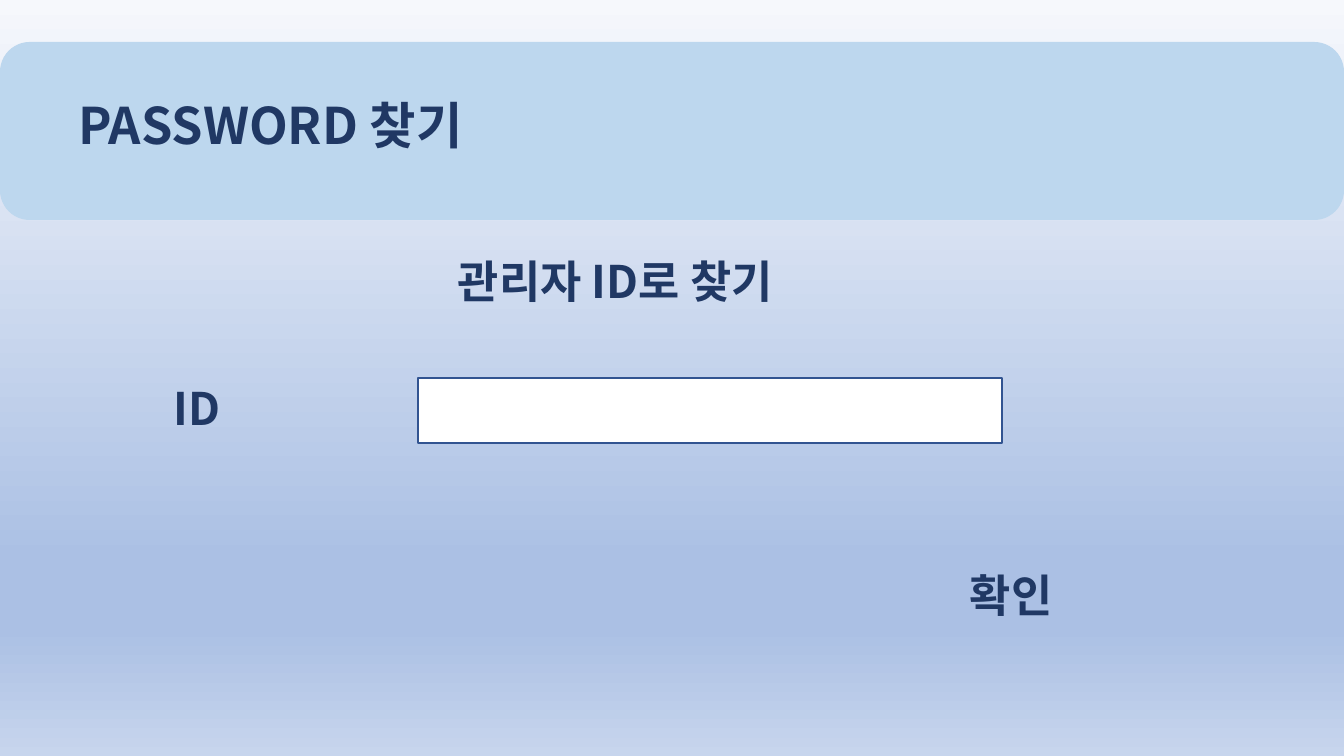
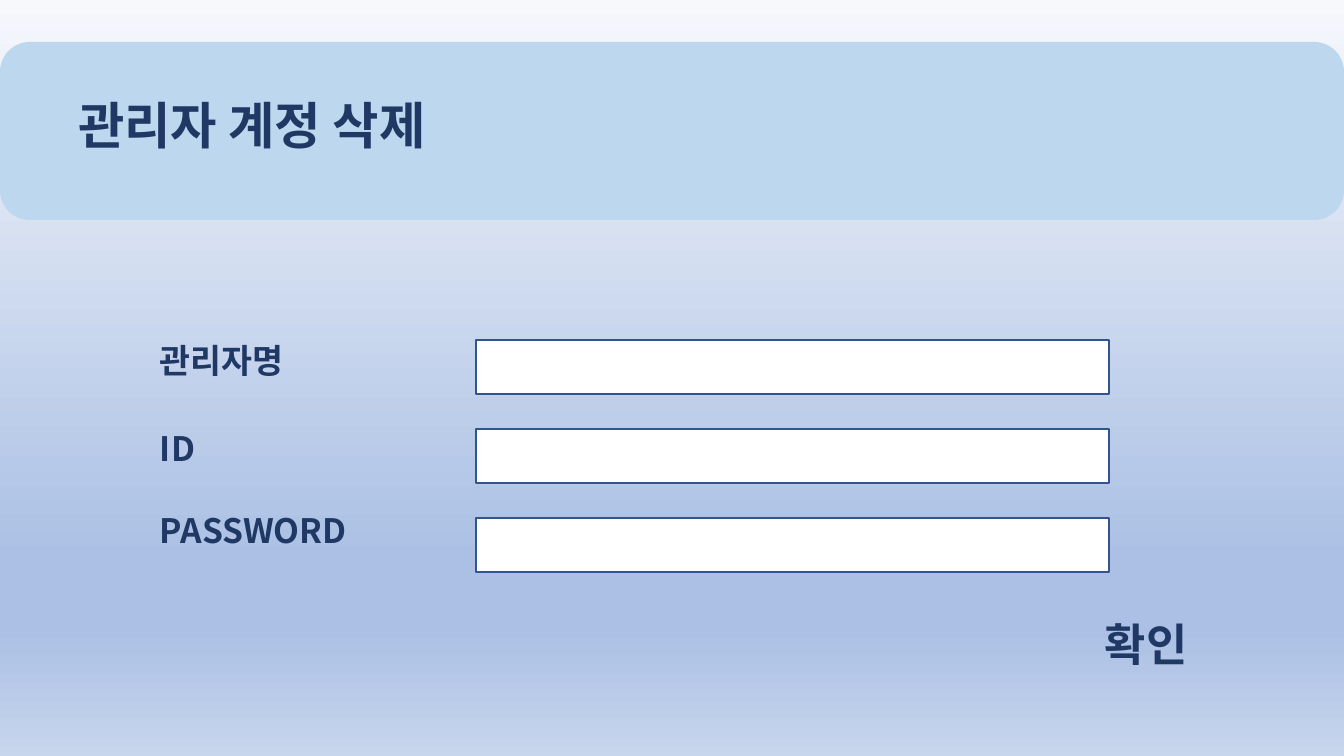
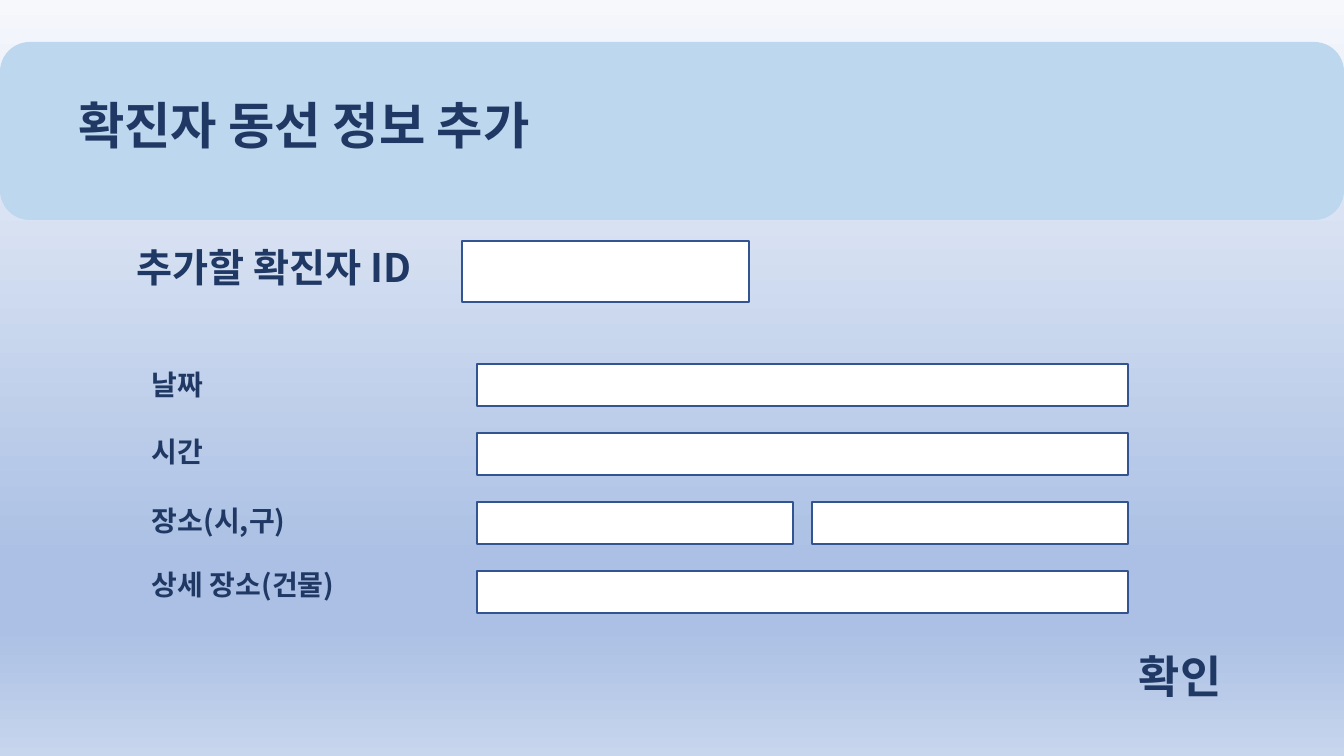
from lxml import etree
from pptx import Presentation
from pptx import util as u
from pptx.dml.color import RGBColor
from pptx.enum import shapes, text
from pptx.oxml.ns import qn

PX = 914400 / 100.8
FONT = "Noto Sans CJK KR"
NAVY, SKY, WHITE, EDGE = "203864", "BDD7EE", "FFFFFF", "325491"
STOPS = [(0, "F6F8FC"), (74, "ABC0E4"), (83, "ABC0E4"), (100, "C7D5ED")]
KIND = shapes.MSO_SHAPE


def write(box, words, size):
    frame = box.text_frame
    frame.word_wrap = True
    frame.auto_size = text.MSO_AUTO_SIZE.NONE
    frame.vertical_anchor = text.MSO_ANCHOR.TOP
    para = frame.paragraphs[0]
    para.alignment = text.PP_ALIGN.LEFT
    para.line_spacing = 0.9
    run = para.add_run()
    run.text = words
    font = run.font
    font.name, font.size, font.bold = FONT, u.Pt(size), True
    font.color.rgb = RGBColor.from_string(NAVY)
    east = etree.SubElement(run._r.get_or_add_rPr(), qn("a:ea"))
    east.set("typeface", FONT)


def block(slide, kind, area, fill, line=None):
    """Add a plain filled shape; area is left, top, width, height in px."""
    shape = slide.shapes.add_shape(kind, *[round(n * PX) for n in area])
    shape.shadow.inherit = False
    shape.fill.solid()
    shape.fill.fore_color.rgb = RGBColor.from_string(fill)
    if line:
        shape.line.color.rgb = RGBColor.from_string(line)
        shape.line.width = u.Pt(1)
    else:
        shape.line.fill.background()
    return shape


# Each label is words, size, area; each field is an area.
pages = [
    ("PASSWORD 찾기",
     [("관리자 ID로 찾기", 32, (448, 255, 450, 65)),
      ("ID", 32, (164, 382, 283, 65)),
      ("확인", 32, (960, 569, 230, 65))],
     [(418, 378, 584, 65)]),
    ("관리자 계정 삭제",
     [(words, 24, (150, top, 306, 58))
      for words, top in [("관리자명", 340), ("ID", 428), ("PASSWORD", 510)]]
     + [("확인", 32, (1095, 618, 195, 74))],
     [(476, 340 + 89 * row, 633, 54) for row in range(3)]),
    ("확진자 동선 정보 추가",
     [("추가할 확진자 ID", 28, (127, 244, 398, 57))]
     + [(words, 20, (142, top, 315, 34))
        for words, top in [("날짜", 366), ("시간", 433),
                           ("장소(시,구)", 502), ("상세 장소(건물)", 566)]]
     + [("확인", 32, (1129, 650, 195, 74))],
     [(462, 241, 287, 61)]
     + [(477, 364 + 69 * row, 651, 42) for row in (0, 1, 3)]
     + [(left, 502, 316, 42) for left in (477, 812)]),
]

prs = Presentation()
prs.slide_width, prs.slide_height = round(1344 * PX), round(756 * PX)

master = prs.slide_master
back = master.background.fill
back.gradient()
back.gradient_angle = 270
ramp = master._element.find(".//" + qn("a:gsLst"))
for old in list(ramp):
    ramp.remove(old)
for spot, tone in STOPS:
    stop = etree.SubElement(ramp, qn("a:gs"), pos=str(spot * 1000))
    etree.SubElement(stop, qn("a:srgbClr"), val=tone)

for head, labels, fields in pages:
    slide = prs.slides.add_slide(prs.slide_layouts[5])
    title = slide.shapes.title
    band = block(slide, KIND.ROUNDED_RECTANGLE, (0, 42, 1344, 178), SKY)
    title._element.addprevious(band._element)
    title.left, title.top, title.width, title.height = [
        round(n * PX) for n in (68, 96, 884, 72)]
    write(title, head, 36)
    for area in fields:
        block(slide, KIND.RECTANGLE, area, WHITE, EDGE)
    for words, size, area in labels:
        write(slide.shapes.add_textbox(*[round(n * PX) for n in area]), words, size)

prs.save("out.pptx")
